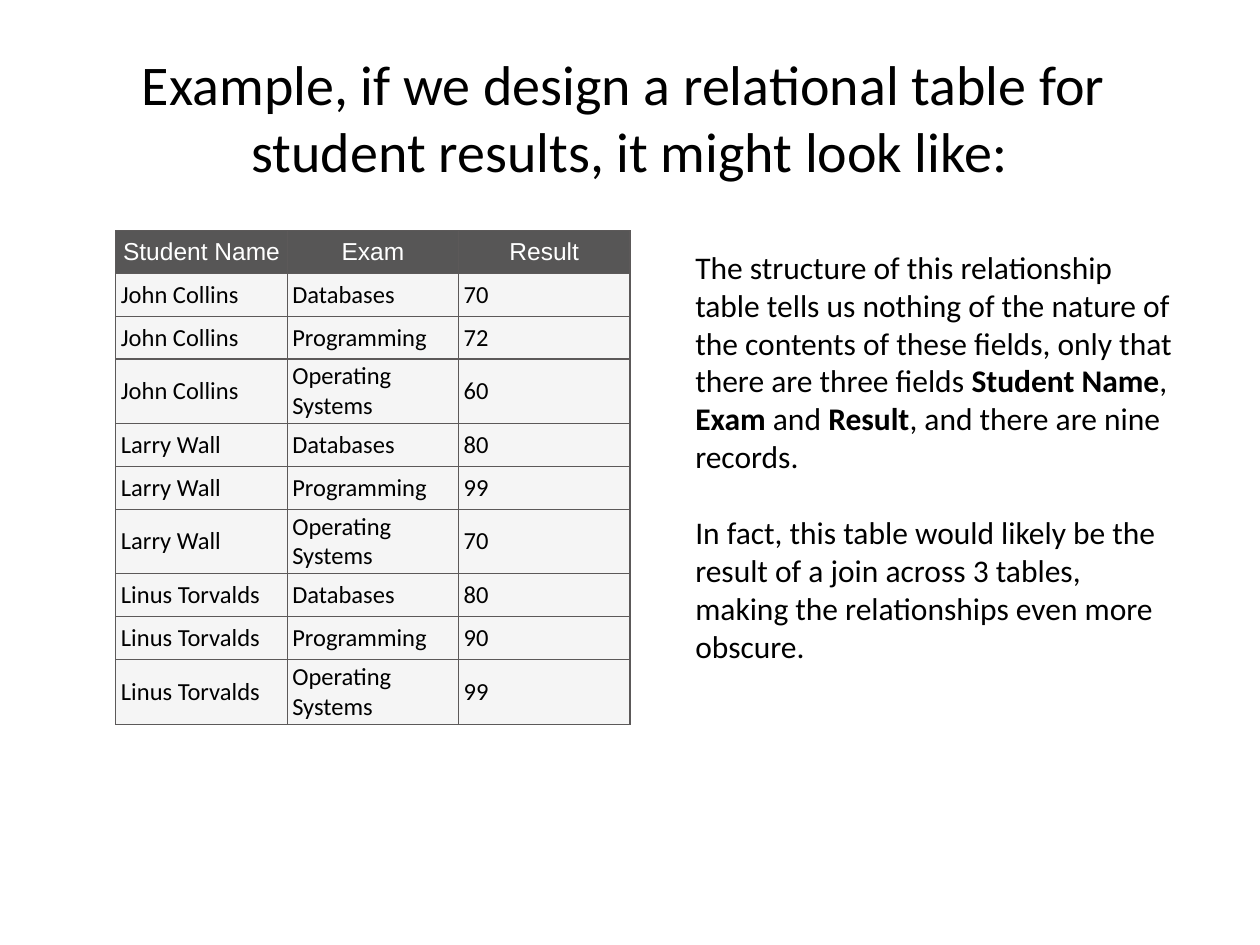
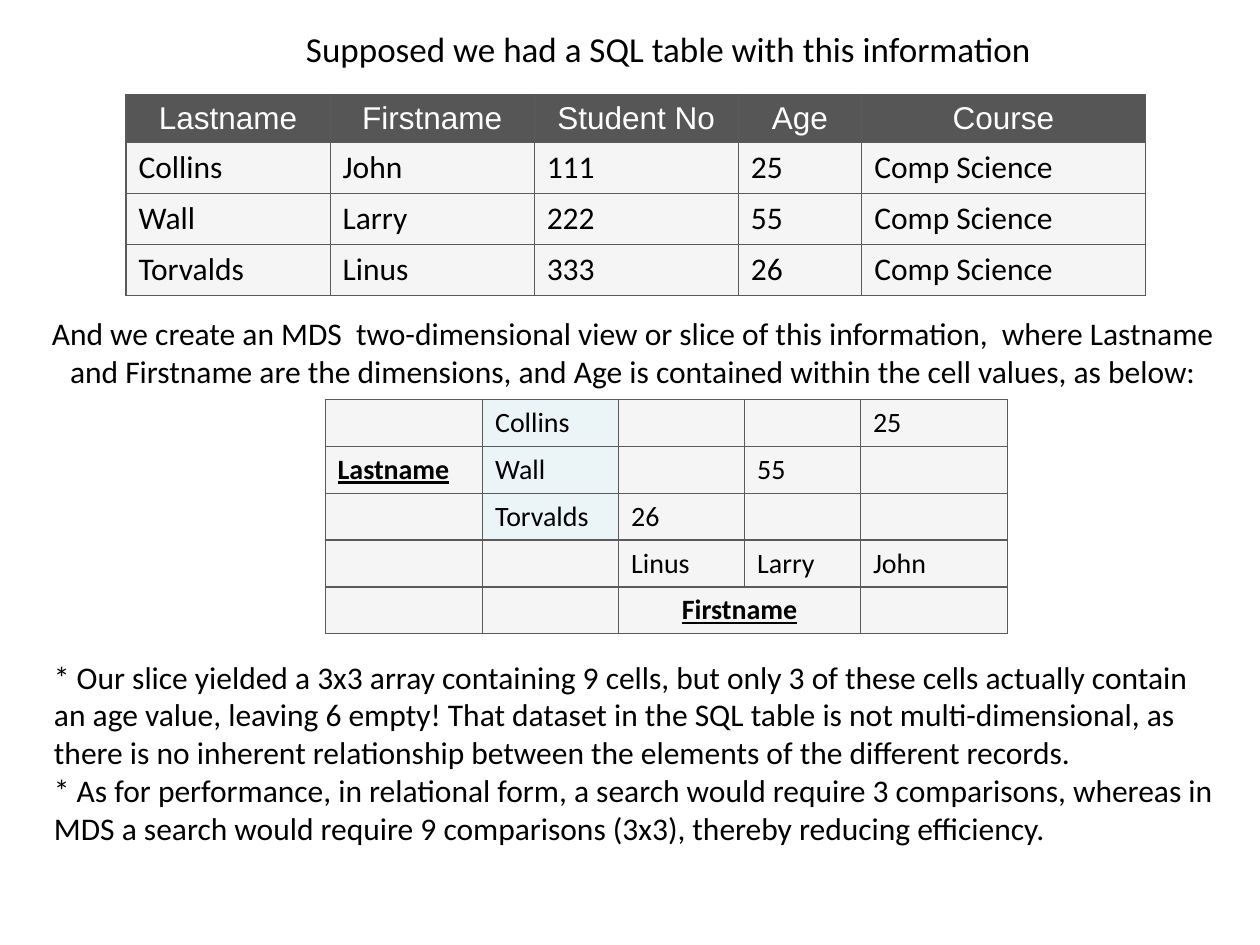
from itertools import product
from lxml.etree import SubElement
from pptx import Presentation
from pptx.dml.color import RGBColor
from pptx.enum.text import MSO_ANCHOR, MSO_AUTO_SIZE, PP_ALIGN
from pptx.oxml.ns import qn
from pptx.util import Inches, Pt

# Shared look
BLACK, WHITE = "000000", "FFFFFF"
HEADER_FILL, CELL_FILL, BORDER, DIMENSION_FILL = "575656", "F5F5F5", "5C5959", "4BACC6"
DIMENSION_ALPHA = 11
BODY_FONT, HEADER_FONT = "Calibri", "Arial"

# Slide 1 content
RESULTS_TITLE = "Example, if we design a relational table for  student results, it might look like:"
RESULTS_HEADER = ("Student Name", "Exam", "Result")
EXAMS = ("Databases", "Programming", "Operating Systems")
STUDENT_MARKS = {
    "John Collins": (70, 72, 60),
    "Larry Wall": (80, 99, 70),
    "Linus Torvalds": (80, 90, 99),
}
# Each paragraph is a list of (text, bold) runs
STRUCTURE_NOTE = [
    [("The structure of this relationship table tells us nothing of the nature of the contents "
      "of these fields, only that there are three fields ", False),
     ("Student Name", True), (", ", False), ("Exam", True), (" and ", False),
     ("Result", True), (", and there are nine records.", False)],
    [("In fact, this table would likely be the result of a join across 3 tables, "
      "making the relationships even more obscure.", False)],
]

# Slide 2 content
SQL_CAPTION = "Supposed we had a SQL table with this information"
SQL_ROWS = [
    ("Lastname", "Firstname", "Student No", "Age", "Course"),
    ("Collins", "John", "111", "25", "Comp Science"),
    ("Wall", "Larry", "222", "55", "Comp Science"),
    ("Torvalds", "Linus", "333", "26", "Comp Science"),
]
SLICE_TITLE = ("And we create an MDS  two-dimensional view or slice of this information,  where "
               "Lastname and Firstname are the dimensions, and Age is contained within the cell "
               "values, as below:")
SLICE_ROWS = [
    ("", "Collins", "", "", "25"),
    ("Lastname", "Wall", "", "55", ""),
    ("", "Torvalds", "26", "", ""),
    ("", "", "Linus", "Larry", "John"),
    ("", "", "Firstname", "", ""),
]
SLICE_NOTE = [
    [("* Our slice yielded a 3x3 array containing 9 cells, but only 3 of these cells actually "
      "contain an age value, leaving 6 empty! That dataset in the SQL table is not "
      "multi-dimensional, as there is no inherent relationship between the elements of the "
      "different records.", False)],
    [("* As for performance, in relational form, a search would require 3 comparisons, whereas "
      "in MDS a search would require 9 comparisons (3x3), thereby reducing efficiency.", False)],
]


def rgb(value):
    return RGBColor.from_string(value)


def style(font, size, color=BLACK, name=BODY_FONT, bold=False, underline=False):
    font.size, font.name, font.bold, font.underline = Pt(size), name, bold, underline
    font.color.rgb = rgb(color)


def set_title(slide, text, box, size):
    title = slide.shapes.title
    title.left, title.top, title.width, title.height = map(Inches, box)
    frame = title.text_frame
    frame.text = text
    frame.word_wrap = True
    frame.auto_size = MSO_AUTO_SIZE.NONE
    frame.vertical_anchor = MSO_ANCHOR.MIDDLE
    frame.paragraphs[0].alignment = PP_ALIGN.CENTER
    style(frame.paragraphs[0].runs[0].font, size)


def add_text(slide, paragraphs, box, size, wrap=True, gap=0):
    frame = slide.shapes.add_textbox(*map(Inches, box)).text_frame
    frame.word_wrap = wrap
    frame.auto_size = MSO_AUTO_SIZE.SHAPE_TO_FIT_TEXT
    for index, runs in enumerate(paragraphs):
        paragraph = frame.add_paragraph() if index else frame.paragraphs[0]
        if index and gap:
            paragraph.space_before = Pt(gap)
        for text, bold in runs:
            run = paragraph.add_run()
            run.text = text
            style(run.font, size, bold=bold)


def outline(cell):
    properties = cell._tc.get_or_add_tcPr()
    for side in ("lnL", "lnR", "lnT", "lnB"):
        line = SubElement(properties, qn(f"a:{side}"), w=str(Pt(0.75)))
        SubElement(SubElement(line, qn("a:solidFill")), qn("a:srgbClr"), val=BORDER)


def fill_cell(cell, color):
    cell.fill.solid()
    cell.fill.fore_color.rgb = rgb(color)


def add_grid(slide, rows, left, top, widths, heights, size, header=True, margins=None):
    table = slide.shapes.add_table(len(rows), len(widths), Inches(left), Inches(top),
                                   Inches(sum(widths)), Inches(sum(heights))).table
    table.first_row, table.horz_banding = header, False
    for column, width in zip(table.columns, widths):
        column.width = Inches(width)
    for row, height in zip(table.rows, heights):
        row.height = Inches(height)
    for r, c in product(range(len(rows)), range(len(widths))):
        cell, is_header = table.cell(r, c), header and r == 0
        outline(cell)
        fill_cell(cell, HEADER_FILL if is_header else CELL_FILL)
        cell.vertical_anchor = MSO_ANCHOR.MIDDLE
        if margins:
            cell.margin_left = cell.margin_right = Inches(margins[0])
            cell.margin_top = cell.margin_bottom = Inches(margins[1])
        cell.text_frame.text = rows[r][c]
        paragraph = cell.text_frame.paragraphs[0]
        if is_header:
            paragraph.alignment = PP_ALIGN.CENTER
        for run in paragraph.runs:
            style(run.font, size, WHITE if is_header else BLACK,
                  HEADER_FONT if is_header else BODY_FONT)
        if not paragraph.runs:  # keeps empty cells as low as filled ones
            paragraph._p.get_or_add_endParaRPr().set("sz", str(size * 100))
    return table


def build_results(slide):
    set_title(slide, RESULTS_TITLE, (0.5, 0.3, 9, 1.25), 32)
    records = [(student, exam, str(mark)) for student, marks in STUDENT_MARKS.items()
               for exam, mark in zip(EXAMS, marks)]
    rows = [RESULTS_HEADER] + records
    # Rows with a two-line exam name are taller
    heights = [0.51 if exam == EXAMS[-1] else 0.34 for _, exam, _ in rows]
    add_grid(slide, rows, 0.92, 1.83, [1.36] * 3, heights, 14, margins=(0.04, 0.02))
    add_text(slide, STRUCTURE_NOTE, (5.42, 1.92, 4, 3.43), 18, gap=22)


def build_slice(slide):
    set_title(slide, SLICE_TITLE, (0.17, 2.17, 9.71, 1.25), 18)

    # Dimension labels and the tinted last names
    grid = add_grid(slide, SLICE_ROWS, 2.58, 3.17, [1.25, 1.08, 1, 0.92, 1.17],
                    [0.37] * 5, 16, header=False)
    for r in range(3):
        lastname = grid.cell(r, 1)
        fill_cell(lastname, DIMENSION_FILL)
        tint = lastname._tc.tcPr.find(qn("a:solidFill"))[0]
        SubElement(tint, qn("a:alpha"), val=str(DIMENSION_ALPHA * 1000))
    firstname_label = grid.cell(4, 2)
    firstname_label.merge(grid.cell(4, 3))
    firstname_label.text_frame.paragraphs[0].alignment = PP_ALIGN.CENTER
    for label in (grid.cell(1, 0), firstname_label):
        style(label.text_frame.paragraphs[0].runs[0].font, 16, bold=True, underline=True)

    # SQL table, its caption and the closing note
    add_grid(slide, SQL_ROWS, 1, 0.75, [1.62, 1.62, 1.62, 0.98, 2.25],
             [0.38] + [0.4] * 3, 18)
    add_text(slide, [[(SQL_CAPTION, False)]], (2.33, 0.17, 6.01, 0.44), 20, wrap=False)
    add_text(slide, SLICE_NOTE, (0.33, 5.17, 9.42, 1.62), 18)


def main():
    deck = Presentation()
    deck.slide_width, deck.slide_height = Inches(10), Inches(7.5)
    title_only = deck.slide_layouts[5]
    for build in (build_results, build_slice):
        build(deck.slides.add_slide(title_only))
    deck.save("out.pptx")


if __name__ == "__main__":
    main()
